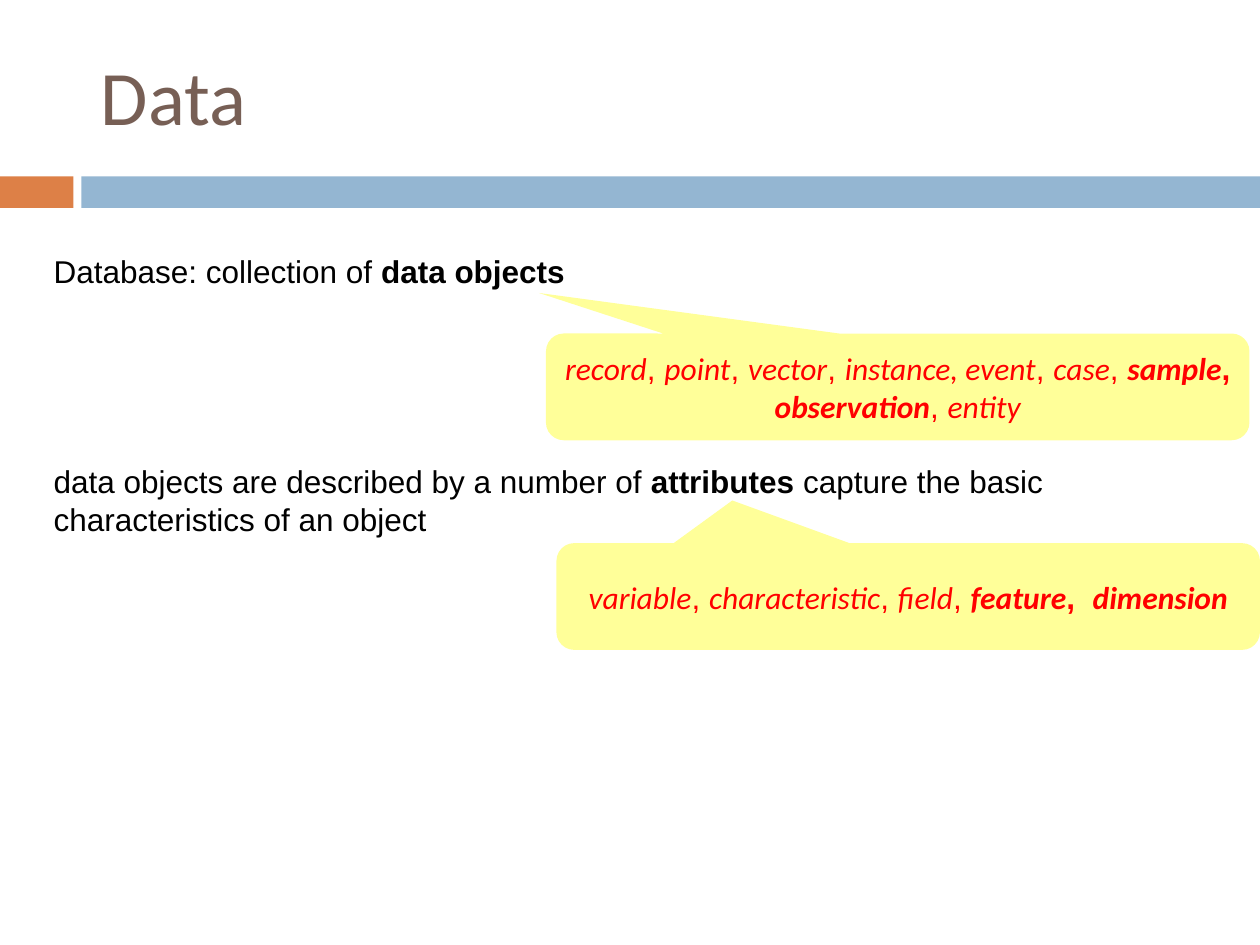
from pptx import Presentation
from pptx.dml.color import RGBColor
from pptx.enum.shapes import MSO_SHAPE as SHAPE
from pptx.enum.text import MSO_ANCHOR as ANCHOR, MSO_AUTO_SIZE as AUTO, PP_ALIGN as ALIGN
from pptx.util import Pt

ORANGE, BLUE, YELLOW = "DD8047", "94B6D2", "FFFF99"
BROWN, BLACK, RED = "775F55", "000000", "FF0000"


def rgb(value):
    return RGBColor.from_string(value)


def box(left, top, width, height):
    return Pt(left), Pt(top), Pt(width), Pt(height)


def style(r, size, font, color, bold=False, italic=False):
    r.font.size = Pt(size)
    r.font.name = font
    r.font.color.rgb = rgb(color)
    r.font.bold = bold
    r.font.italic = italic


def add_runs(p, runs, color):
    """Add (text, flags) runs: b is bold; i is italic, set in Calibri, the rest in Arial."""
    for text, flags in runs:
        r = p.add_run()
        r.text = text
        italic = "i" in flags
        style(r, 18, "Calibri" if italic else "Arial", color, "b" in flags, italic)


def add_filled(s, kind, bounds, fill):
    sp = s.shapes.add_shape(kind, *box(*bounds))
    sp.shadow.inherit = False
    sp.fill.solid()
    sp.fill.fore_color.rgb = rgb(fill)
    sp.line.fill.background()
    return sp


def add_title(s, text):
    sp = s.shapes.title
    sp.left, sp.top, sp.width, sp.height = box(50.4, 15.1, 642.2, 77.8)
    tf = sp.text_frame
    tf.text = text
    tf.vertical_anchor = ANCHOR.MIDDLE
    p = tf.paragraphs[0]
    p.alignment = ALIGN.LEFT
    style(p.runs[0], 44, "Calibri", BROWN)


def add_statement(s, bounds, runs, wrap=True):
    tf = s.shapes.add_textbox(*box(*bounds)).text_frame
    tf.word_wrap = wrap
    tf.auto_size = AUTO.SHAPE_TO_FIT_TEXT
    add_runs(tf.paragraphs[0], runs, BLACK)


def add_callout(s, left, top, tip, runs):
    """Tip is the pointer's offset from the centre, as shares of width and height."""
    sp = add_filled(s, SHAPE.ROUNDED_RECTANGULAR_CALLOUT, (left, top, 402, 61), YELLOW)
    sp.adjustments[0], sp.adjustments[1] = tip
    tf = sp.text_frame
    tf.word_wrap = True
    tf.vertical_anchor = ANCHOR.MIDDLE
    p = tf.paragraphs[0]
    p.alignment = ALIGN.CENTER
    add_runs(p, runs, RED)


def main():
    prs = Presentation()
    prs.slide_width, prs.slide_height = Pt(720), Pt(540)
    s = prs.slides.add_slide(prs.slide_layouts[5])

    add_filled(s, SHAPE.RECTANGLE, (0, 100.8, 42, 18), ORANGE)
    add_filled(s, SHAPE.RECTANGLE, (46.5, 100.8, 673.5, 18), BLUE)
    add_title(s, "Data")

    add_statement(s, (23.6, 140.4, 309.6, 28.8), [
        ("Database: collection of ", ""), ("data objects", "b")], wrap=False)
    add_callout(s, 318, 310.4, (-0.25, -0.9), [
        ("variable", "i"), (", ", ""), ("characteristic", "i"), (", ", ""),
        ("field", "i"), (", ", ""), ("feature", "bi"), (",  ", "b"),
        ("dimension", "bi")])
    add_statement(s, (23.6, 260.6, 671.8, 51), [
        ("data objects are described by a number of ", ""), ("attributes ", "b"),
        ("capture the basic characteristics of an object", "")])
    add_callout(s, 312, 190.6, (-0.51, -0.88), [
        ("record", "i"), (", ", ""), ("point", "i"), (", ", ""),
        ("vector", "i"), (", ", ""), ("instance, event", "i"), (", ", ""),
        ("case", "i"), (", ", ""), ("sample", "bi"), (", ", "b"),
        ("observation", "bi"), (", ", ""), ("entity", "i")])

    prs.save("out.pptx")


if __name__ == "__main__":
    main()
